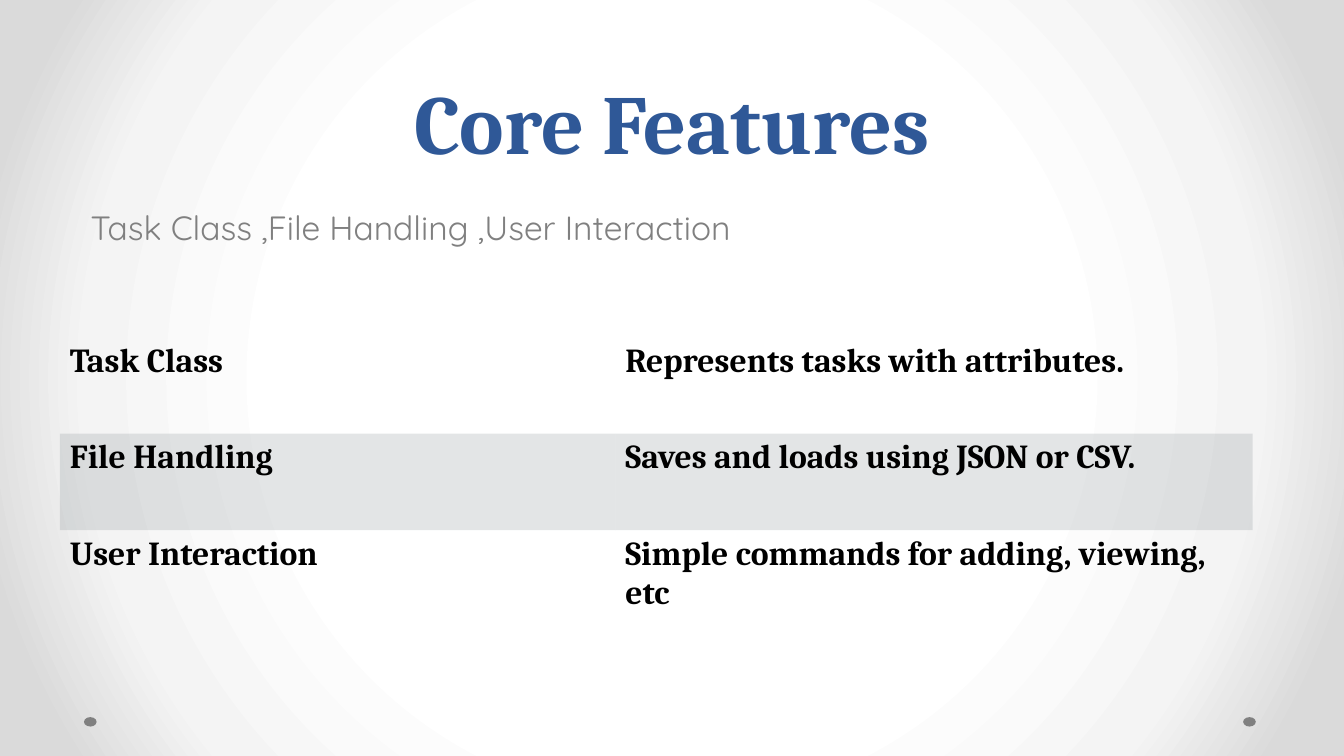
from pptx import Presentation
from pptx.dml.color import RGBColor
from pptx.enum.shapes import MSO_SHAPE
from pptx.enum.text import MSO_ANCHOR, PP_ALIGN
from pptx.oxml import parse_xml
from pptx.oxml.ns import nsdecls, qn
from pptx.util import Emu, Pt
from lxml.etree import SubElement

EMU_PER_PX = 9525
NO_TABLE_STYLE = "{2D5ABB26-0587-4C30-8999-92F81FD0307C}"


def px(length):
    return Emu(length * EMU_PER_PX)


def color(value):
    return RGBColor.from_string(value)


def write_text(frame, text, font="Cambria", size=24, fill="000000", bold=False,
               align=PP_ALIGN.LEFT, anchor=MSO_ANCHOR.TOP, line_spacing=None):
    frame.word_wrap = True
    frame.vertical_anchor = anchor
    paragraph = frame.paragraphs[0]
    paragraph.alignment = align
    if line_spacing:
        paragraph.line_spacing = Pt(line_spacing)
    run = paragraph.add_run()
    run.text = text
    run.font.name = font
    run.font.size = Pt(size)
    run.font.bold = bold
    run.font.color.rgb = color(fill)


class SlideBuilder:
    title_color = "2F5897"
    muted_color = "808080"
    band_color = "758085"
    band_opacity = 20

    def __init__(self, slide):
        self.slide = slide

    def background(self, stops):
        stop_xml = "".join(
            f'<a:gs pos="{position * 1000}"><a:srgbClr val="{value}"/></a:gs>'
            for position, value in stops)
        background = parse_xml(
            f'<p:bg {nsdecls("p", "a")}><p:bgPr><a:gradFill rotWithShape="1">'
            f'<a:gsLst>{stop_xml}</a:gsLst><a:path path="circle">'
            '<a:fillToRect l="50000" t="50000" r="50000" b="50000"/></a:path>'
            '</a:gradFill><a:effectLst/></p:bgPr></p:bg>')
        self.slide.element.find(qn("p:cSld")).insert(0, background)

    def dot(self, left, top, width, height):
        shape = self.slide.shapes.add_shape(
            MSO_SHAPE.OVAL, px(left), px(top), px(width), px(height))
        shape.shadow.inherit = False
        shape.fill.solid()
        shape.fill.fore_color.rgb = color(self.muted_color)
        shape.line.fill.background()

    def text(self, left, top, width, height, text, **text_format):
        shape = self.slide.shapes.add_textbox(px(left), px(top), px(width), px(height))
        write_text(shape.text_frame, text, **text_format)

    def table(self, left, top, column_widths, row_height, rows):
        frame = self.slide.shapes.add_table(
            len(rows), len(column_widths), px(left), px(top),
            px(sum(column_widths)), px(row_height * len(rows)))
        table = frame.table
        table.first_row = False
        table.horz_banding = False
        for style in frame.element.iter(qn("a:tableStyleId")):
            style.text = NO_TABLE_STYLE
        for column, width in zip(table.columns, column_widths):
            column.width = px(width)
        for row_index, texts in enumerate(rows):
            for column_index, text in enumerate(texts):
                cell = table.cell(row_index, column_index)
                write_text(cell.text_frame, text, bold=True)
                if row_index % 2:
                    cell.fill.solid()
                    cell.fill.fore_color.rgb = color(self.band_color)
                else:
                    cell.fill.background()
        for band in frame.element.iterfind(
                f".//{qn('a:tcPr')}/{qn('a:solidFill')}/{qn('a:srgbClr')}"):
            SubElement(band, qn("a:alpha"), val=str(self.band_opacity * 1000))


def main():
    presentation = Presentation()
    presentation.slide_width = px(1280)
    presentation.slide_height = px(720)
    slide = presentation.slides.add_slide(presentation.slide_layouts[6])
    builder = SlideBuilder(slide)

    builder.background([(50, "FFFFFF"), (76, "F4F4F4"), (92, "DADADA")])
    for left in (1184, 80):
        builder.dot(left, 683, 12, 9)
    builder.text(64, 0, 1152, 168, "Core Features", size=60, bold=True,
                 fill=builder.title_color, align=PP_ALIGN.CENTER,
                 anchor=MSO_ANCHOR.BOTTOM, line_spacing=58)
    builder.text(77, 192, 1116, 69, "Task Class ,File Handling ,User Interaction",
                 font="Quicksand", fill=builder.muted_color)
    builder.table(57, 321, (529, 607), 92, [
        ("Task Class", "Represents tasks with attributes."),
        ("File Handling", "Saves and loads using JSON or CSV."),
        ("User Interaction", "Simple commands for adding, viewing, etc"),
    ])
    presentation.save("out.pptx")


if __name__ == "__main__":
    main()
